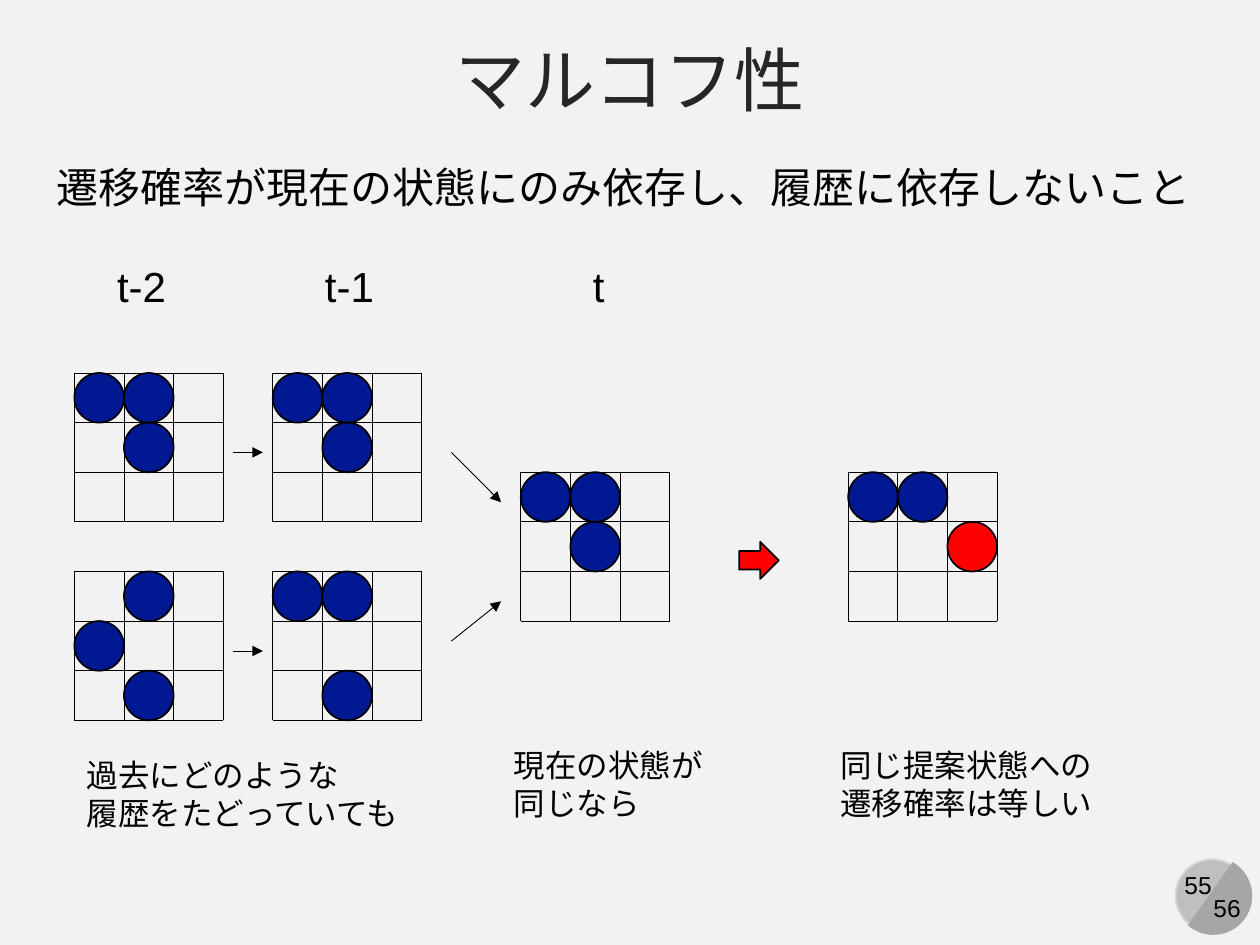
from lxml import etree
from pptx import Presentation
from pptx.dml.color import RGBColor
from pptx.enum.shapes import MSO_CONNECTOR, MSO_SHAPE
from pptx.enum.text import MSO_ANCHOR, MSO_AUTO_SIZE, PP_ALIGN
from pptx.oxml.ns import qn
from pptx.util import Pt

LINE = MSO_CONNECTOR.STRAIGHT
OVAL, CHORD, ARROW = MSO_SHAPE.OVAL, MSO_SHAPE.CHORD, MSO_SHAPE.RIGHT_ARROW
LEFT, CENTER = PP_ALIGN.LEFT, PP_ALIGN.CENTER
TOP, MIDDLE = MSO_ANCHOR.TOP, MSO_ANCHOR.MIDDLE
FIT = MSO_AUTO_SIZE.SHAPE_TO_FIT_TEXT
NO_FIT = MSO_AUTO_SIZE.NONE

COLORS = {
    "bg": "F2F2F2", "title": "262626", "black": "000000", "blue": "011893",
    "red": "FF0000", "badge": "BFBFBF", "badge_line": "D9D9D9", "chord": "A6A6A6",
}
CELL = 28.35
COLUMNS = {"t-2": 42.52, "t-1": 155.91, "t": 297.64, "next": 484.72}
ROWS = {"upper": 213.17, "middle": 269.87, "lower": 326.57}


def rgb(name):
    return RGBColor.from_string(COLORS[name])


def add_text(s, box, text, size, color="black", align=LEFT, anchor=TOP, wrap=False):
    tf = s.shapes.add_textbox(*map(Pt, box)).text_frame
    frame = {"word_wrap": wrap, "vertical_anchor": anchor,
             "auto_size": NO_FIT if wrap else FIT}
    for key, value in frame.items():
        setattr(tf, key, value)
    for i, line in enumerate(text.split("\n")):
        p = tf.paragraphs[0] if i == 0 else tf.add_paragraph()
        p.alignment = align
        r = p.add_run()
        r.text = line
        for key, value in {"name": "Arial", "size": Pt(size)}.items():
            setattr(r.font, key, value)
        r.font.color.rgb = rgb(color)


def add_shape(s, kind, box, fill, line="black"):
    sp = s.shapes.add_shape(kind, *map(Pt, box))
    sp.shadow.inherit = False
    sp.fill.solid()
    sp.fill.fore_color.rgb = rgb(fill)
    if line:
        sp.line.color.rgb = rgb(line)
        sp.line.width = Pt(1)
    else:
        sp.line.fill.background()
    return sp


def add_line(s, x1, y1, x2, y2, arrow=False):
    c = s.shapes.add_connector(LINE, *map(Pt, (x1, y1, x2, y2)))
    c.line.color.rgb = rgb("black")
    c.line.width = Pt(0.5)
    if arrow:
        etree.SubElement(c.line._get_or_add_ln(), qn("a:tailEnd"), type="triangle")
    etree.SubElement(c._element.spPr, qn("a:effectLst"))


def add_board(s, x, y, stones):
    side = 3 * CELL
    for i in range(4):
        add_line(s, x + i * CELL, y, x + i * CELL, y + side)
    for i in range(4):
        add_line(s, x, y + i * CELL, x + side, y + i * CELL)
    for col, row, color in stones:
        add_shape(s, OVAL, (x + col * CELL, y + row * CELL, CELL, CELL), color)


def add_page_badge(s, x, y):
    add_shape(s, OVAL, (x + 0.7, y + 1.4, 41.8, 41.8), "badge", "badge_line")
    add_text(s, (x - 2.2, y + 4.3, 31.7, 24.5), "55", 14, align=CENTER)
    sp = add_shape(s, CHORD, (x, y, 44.6, 44.6), "chord", None)
    sp.rotation = 255
    sp.adjustments[0], sp.adjustments[1] = 27, 141.424
    add_text(s, (x + 15.1, y + 17.3, 30.2, 24.5), "56", 14, align=CENTER)


def add_heading(s, x, y, w):
    add_text(s, (x, y, w, 59), "マルコフ性", 40, "title", CENTER, MIDDLE, True)
    add_text(s, (x + 25.2, y + 73.4, 669, 36),
             "遷移確率が現在の状態にのみ依存し、履歴に依存しないこと", 24)


def add_diagram(s):
    corner = [(0, 0, "blue"), (1, 0, "blue"), (1, 1, "blue")]
    boards = [
        ("t", "middle", corner),
        ("t-1", "upper", corner),
        ("t-1", "lower", [(0, 0, "blue"), (1, 0, "blue"), (1, 2, "blue")]),
        ("t-2", "upper", corner),
        ("t-2", "lower", [(0, 1, "blue"), (1, 0, "blue"), (1, 2, "blue")]),
        ("next", "middle", [(0, 0, "blue"), (1, 0, "blue"), (2, 1, "red")]),
    ]
    for col, row, stones in boards:
        add_board(s, COLUMNS[col], ROWS[row], stones)
    for x, w, label in [(59.8, 42.5, "t-2"), (178.6, 42.5, "t-1"), (331.7, 21, "t")]:
        add_text(s, (x, 145.6, w, 36), label, 24)
    arrows = [(133.2, 258.5, 150.2, 258.5), (133.2, 372, 150.2, 372),
              (258, 258.5, 286.3, 287), (258, 366.3, 286.3, 343.6)]
    for ends in arrows:
        add_line(s, *ends, arrow=True)
    add_shape(s, ARROW, (422.4, 309.6, 22.6, 21.2), "red")


def add_captions(s):
    captions = [
        (42.5, 428.4, 196.6, "過去にどのような\n履歴をたどっていても"),
        (286.6, 423, 123.8, "現在の状態が\n同じなら"),
        (473, 423, 159.8, "同じ提案状態への\n遷移確率は等しい"),
    ]
    for x, y, w, text in captions:
        add_text(s, (x, y, w, 51), text, 18)


def main():
    prs = Presentation()
    prs.slide_width, prs.slide_height = Pt(720), Pt(540)
    s = prs.slides.add_slide(prs.slide_layouts[6])
    s.background.fill.solid()
    s.background.fill.fore_color.rgb = rgb("bg")
    add_page_badge(s, 671, 489.6)
    add_heading(s, 0, 15.1, 720)
    add_diagram(s)
    add_captions(s)
    prs.save("out.pptx")


if __name__ == "__main__":
    main()
